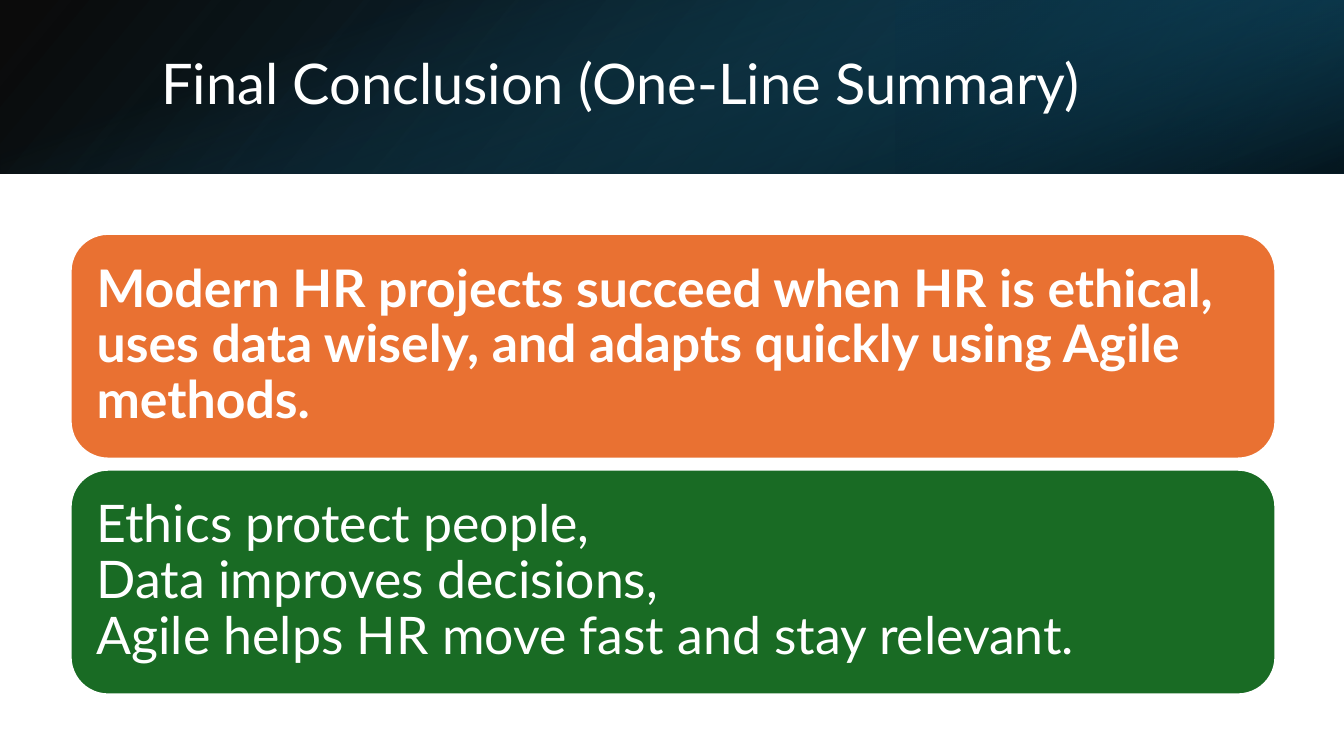
from lxml import etree
from pptx import Presentation
from pptx.dml.color import RGBColor
from pptx.enum.shapes import MSO_SHAPE
from pptx.enum.text import MSO_ANCHOR, PP_ALIGN
from pptx.oxml.ns import qn
from pptx.util import Inches, Pt

RECT, ROUND_RECT = MSO_SHAPE.RECTANGLE, MSO_SHAPE.ROUNDED_RECTANGLE
MIDDLE, LEFT = MSO_ANCHOR.MIDDLE, PP_ALIGN.LEFT

FONT = "Lato"
WHITE, BLACK = "FFFFFF", "000000"
ORANGE, GREEN = "E97132", "196B24"
TEAL, DARK_TEAL, NAVY = "156082", "104862", "0B3041"

SLIDE_W, SLIDE_H = 13.33, 7.5
BANNER_H = 1.72
CARD_GAP = 0.11

TITLE = "Final Conclusion (One-Line Summary)"
# Colour, text, bold
CARDS = [
    (ORANGE, "Modern HR projects succeed when HR is ethical, uses data wisely, "
             "and adapts quickly using Agile methods.", True),
    (GREEN, "Ethics protect people,\vData improves decisions,\v"
            "Agile helps HR move fast and stay relevant.", False),
]


def rgb(value):
    return RGBColor.from_string(value)


def add_shape(slide, kind, box):
    sp = slide.shapes.add_shape(kind, *map(Inches, box))
    sp.shadow.inherit = False
    return sp


def write(sp, text, size, inset_x, inset_y, bold=False):
    """Set left-aligned white text, centred vertically."""
    tf = sp.text_frame
    tf.word_wrap = True
    tf.vertical_anchor = MIDDLE
    tf.margin_left = tf.margin_right = Inches(inset_x)
    tf.margin_top = tf.margin_bottom = Inches(inset_y)
    p = tf.paragraphs[0]
    p.text = text
    p.alignment = LEFT
    p.line_spacing = 0.9
    for r in p.runs:
        r.font.name = FONT
        r.font.size = Pt(size)
        r.font.bold = bold
        r.font.color.rgb = rgb(WHITE)


def fill_gradient(sp, angle, stops):
    """Fill along a clockwise angle; stops are (position, colour, opacity) in percent."""
    sp.fill.gradient()
    sp.fill.gradient_angle = 360 - angle  # python-pptx counts counter-clockwise
    for stop, (position, color, _) in zip(sp.fill.gradient_stops, stops):
        stop.position = position / 100
        stop.color.rgb = rgb(color)
    color_elements = sp._element.spPr.iter(qn("a:srgbClr"))
    for element, (_, _, opacity) in zip(color_elements, stops):
        etree.SubElement(element, qn("a:alpha")).set("val", str(opacity * 1000))


def add_banner(slide, x, y, w, h, title):
    """Layer three gradients, back to front, and put the title on top."""
    whole = (x, y, w, h)
    right_third = (x + w * 2 / 3, y, w / 3, h)
    # Upright strip that covers the banner once turned a quarter about its centre
    upright = (x + (w - h) / 2, y + (h - w) / 2, h, w)
    # Box, rotation, mirrored, gradient angle, gradient stops
    layers = [
        (whole, 0, True, 140, [(0, BLACK, 96), (100, DARK_TEAL, 100)]),
        (right_third, 180, True, 320, [(19, NAVY, 68), (100, TEAL, 79)]),
        (upright, 90, False, 340, [(23, TEAL, 0), (99, BLACK, 74)]),
    ]
    for box, rotation, mirrored, angle, stops in layers:
        sp = add_shape(slide, RECT, box)
        sp.line.fill.background()
        sp.rotation = rotation
        if mirrored:
            sp._element.spPr.find(qn("a:xfrm")).set("flipH", "1")
        fill_gradient(sp, angle, stops)

    title_box = (x + 1.5, y + 0.38, 10.98, 0.96)
    tb = slide.shapes.add_textbox(*map(Inches, title_box))
    write(tb, title, size=40, inset_x=0.1, inset_y=0.05)


def add_cards(slide, x, y, w, h, cards):
    """Stack equal cards that share the height of the box."""
    card_h = (h - CARD_GAP * (len(cards) - 1)) / len(cards)
    for i, (color, text, bold) in enumerate(cards):
        card_y = y + i * (card_h + CARD_GAP)
        sp = add_shape(slide, ROUND_RECT, (x, card_y, w, card_h))
        sp.fill.solid()
        sp.fill.fore_color.rgb = rgb(color)
        sp.line.color.rgb = rgb(WHITE)
        sp.line.width = Pt(1.5)
        write(sp, text, size=37, inset_x=0.15, inset_y=0.15, bold=bold)


def main():
    prs = Presentation()
    prs.slide_width, prs.slide_height = Inches(SLIDE_W), Inches(SLIDE_H)
    slide = prs.slides.add_slide(prs.slide_layouts[6])
    add_banner(slide, 0, 0, SLIDE_W, BANNER_H, TITLE)
    add_cards(slide, 0.7, 2.32, 11.95, 4.57, CARDS)
    prs.save("out.pptx")


if __name__ == "__main__":
    main()
